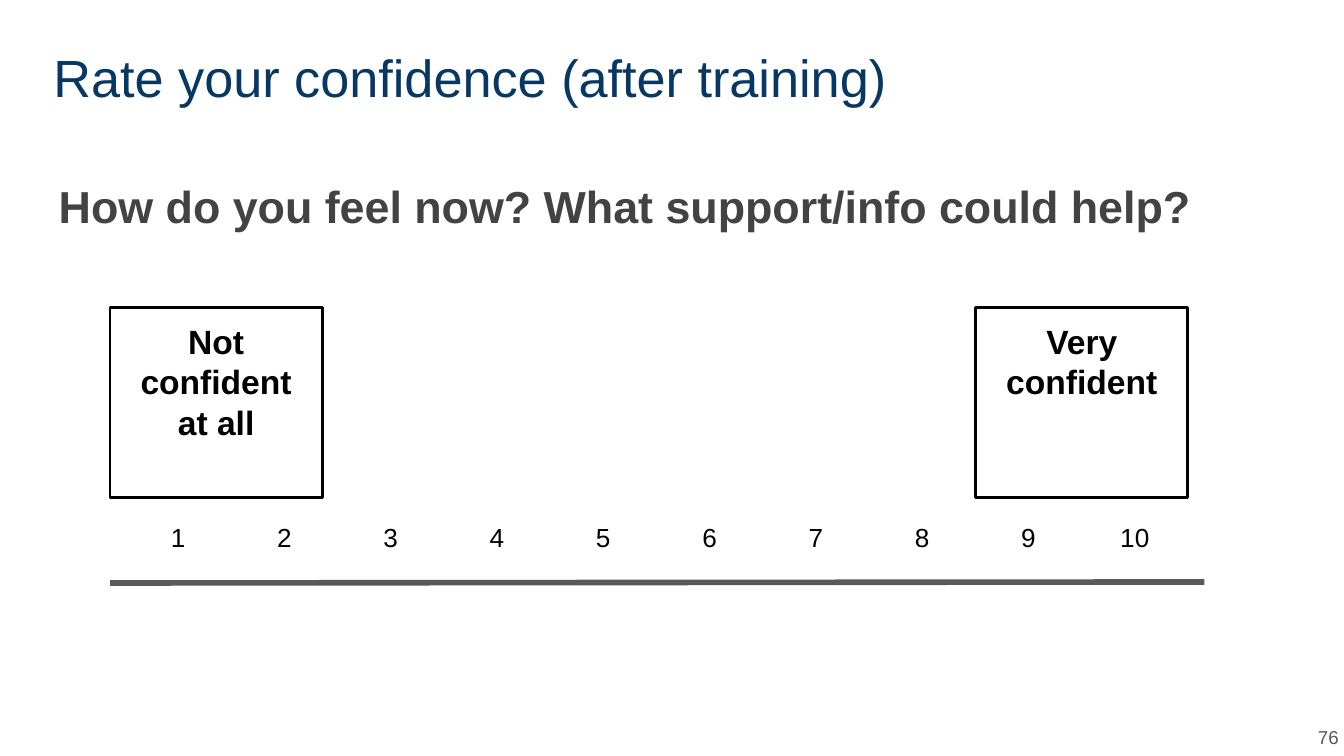
from lxml.etree import SubElement
from pptx import Presentation
from pptx.dml.color import RGBColor
from pptx.enum.shapes import MSO_CONNECTOR as Link, MSO_SHAPE as Shape
from pptx.enum.text import MSO_ANCHOR as Anchor, MSO_AUTO_SIZE as Fit, PP_ALIGN as Align
from pptx.oxml.ns import qn
from pptx.util import Cm, Pt

NAVY = RGBColor(0x07, 0x37, 0x63)
DARK = RGBColor(0x43, 0x43, 0x43)
GRAY = RGBColor(0x59, 0x59, 0x59)
BLACK = RGBColor(0, 0, 0)


def apply(obj, vals):
    """Set each named attribute of an object."""
    for name, val in vals.items():
        setattr(obj, name, val)


class Deck:
    """Hold the style and the current slide."""

    font = "Arial"
    pad = dict.fromkeys(
        ("margin_left", "margin_top", "margin_right", "margin_bottom"), Cm(0.25))

    def __init__(self, wide, high):
        self.prs = Presentation()
        apply(self.prs, {"slide_width": Cm(wide), "slide_height": Cm(high)})
        self.slide = self.prs.slides.add_slide(self.prs.slide_layouts[1])
        self.shapes = self.slide.shapes

    def words(self, frame, text, size, color, bold=False, align=Align.LEFT, space=1.0):
        para = frame.paragraphs[0]
        apply(para, {"alignment": align, "line_spacing": space, "space_before": Pt(0)})
        run = para.add_run()
        run.text = text
        apply(run.font, {"name": self.font, "size": Pt(size), "bold": bold})
        run.font.color.rgb = color
        return para

    def fill(self, shape, text, size, color, anchor=Anchor.TOP, **style):
        frame = shape.text_frame
        apply(frame, {"word_wrap": True, "auto_size": Fit.NONE,
                      "vertical_anchor": anchor, **self.pad})
        return self.words(frame, text, size, color, **style)

    def holder(self, index, spot, text, size, color, **style):
        shape = self.slide.placeholders[index]
        apply(shape, dict(zip(("left", "top", "width", "height"), map(Cm, spot))))
        props = self.fill(shape, text, size, color, **style)._p.get_or_add_pPr()
        props.set("marL", "0")
        props.set("indent", "0")
        SubElement(props, qn("a:buNone"))

    def label(self, spot, text, size, color, **style):
        self.fill(self.shapes.add_textbox(*map(Cm, spot)), text, size, color, **style)

    def box(self, spot, text):
        shape = self.shapes.add_shape(Shape.RECTANGLE, *map(Cm, spot))
        shape.shadow.inherit = False
        shape.fill.background()
        shape.line.color.rgb = BLACK
        shape.line.width = Pt(1.5)
        self.fill(shape, text, 18, BLACK, bold=True, align=Align.CENTER)

    def line(self, ends, color, width):
        link = self.shapes.add_connector(Link.STRAIGHT, *map(Cm, ends))
        link.line.color.rgb = color
        link.line.width = Pt(width)
        SubElement(link._element.spPr, qn("a:effectLst"))

    def scale(self, left, top, wide, high, count):
        spot = map(Cm, (left, top, wide * count, high))
        table = self.shapes.add_table(1, count, *spot).table
        apply(table, {"first_row": False, "horz_banding": False})
        for num, cell in enumerate(table.rows[0].cells, 1):
            apply(cell, self.pad)
            cell.fill.background()
            self.words(cell.text_frame, str(num), 14, BLACK, align=Align.CENTER)


deck = Deck(25.4, 14.29)
deck.holder(0, (0.76, 0.61, 23.77, 1.6), "Rate your confidence (after training)", 28, NAVY)
deck.holder(1, (0.86, 2.97, 23.67, 9.73),
            "How do you feel now? What support/info could help?",
            24, DARK, bold=True, space=1.15)
deck.line((2.08, 11.02, 22.76, 11), GRAY, 3)
for left, text in ((2.08, "Not confident at all"), (18.44, "Very confident")):
    deck.box((left, 5.82, 4.01, 3.58), text)
deck.scale(2.36, 9.65, 2.01, 1.08, 10)
deck.label((24.03, 13.39, 1.52, 1.09), "76", 10, GRAY,
           anchor=Anchor.MIDDLE, align=Align.RIGHT)
deck.prs.save("out.pptx")
